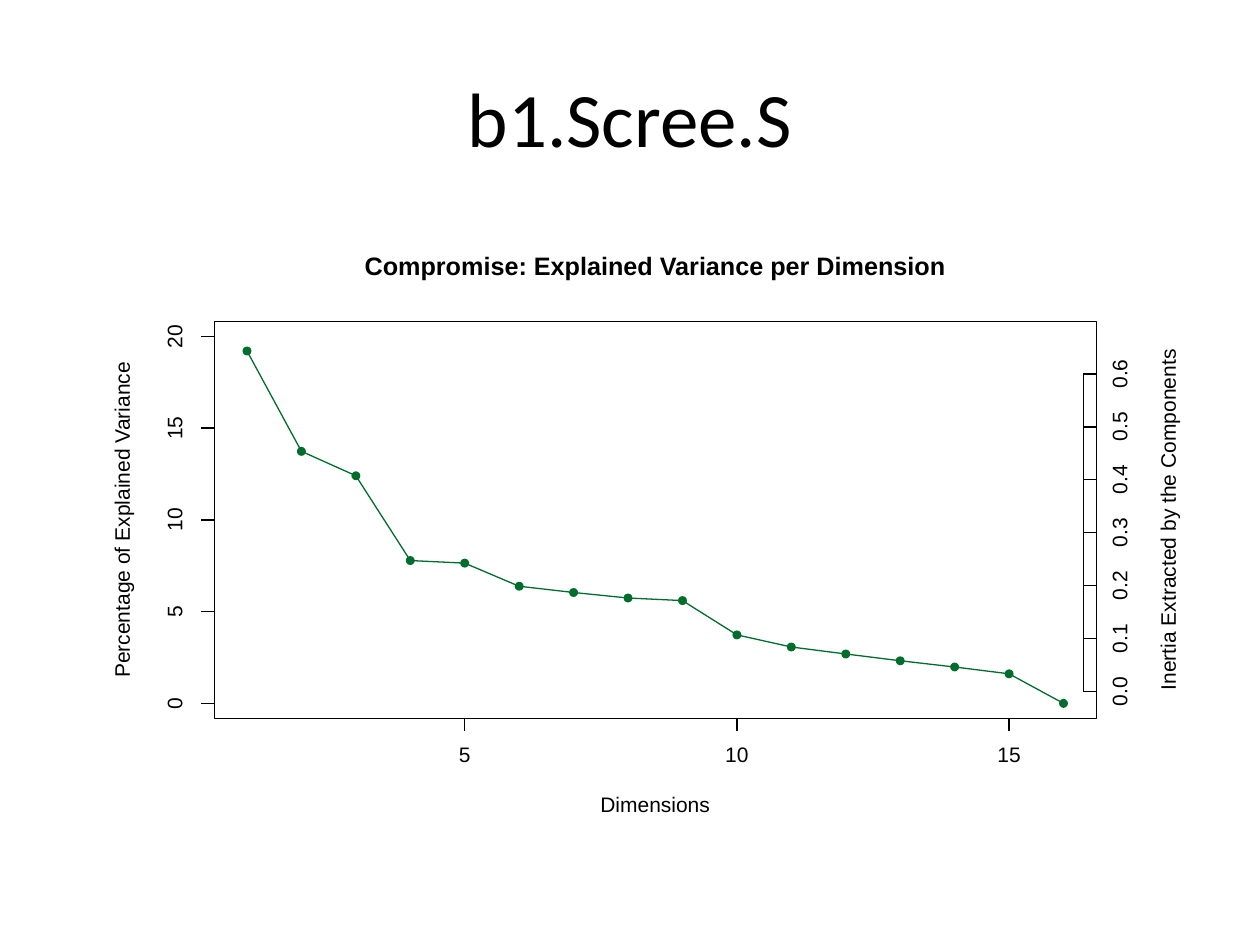
from lxml import etree
from pptx import Presentation
from pptx.dml.color import RGBColor
from pptx.enum.shapes import MSO_CONNECTOR, MSO_SHAPE
from pptx.enum.text import MSO_ANCHOR, PP_ALIGN
from pptx.oxml.ns import qn
from pptx.util import Cm, Pt

STRAIGHT = MSO_CONNECTOR.STRAIGHT
RECTANGLE = MSO_SHAPE.RECTANGLE
OVAL = MSO_SHAPE.OVAL
MIDDLE = MSO_ANCHOR.MIDDLE
CENTER = PP_ALIGN.CENTER

BLACK = RGBColor(0x00, 0x00, 0x00)
WHITE = RGBColor(0xFF, 0xFF, 0xFF)
GREEN = RGBColor(0x00, 0x6D, 0x2C)

LINE_WIDTH = Pt(0.75)
UPRIGHT_TURN = 270
TICK = 0.26
DOT = 0.18

# Plot frame, in centimetres
FRAME_LEFT, FRAME_TOP, FRAME_WIDTH, FRAME_HEIGHT = 4.32, 6.48, 17.78, 8.0
FRAME_RIGHT = FRAME_LEFT + FRAME_WIDTH
FRAME_BOTTOM = FRAME_TOP + FRAME_HEIGHT
FRAME_MIDDLE_X = FRAME_LEFT + FRAME_WIDTH / 2
FRAME_MIDDLE_Y = FRAME_TOP + FRAME_HEIGHT / 2

EXPLAINED_VARIANCE = [19.2, 13.73, 12.4, 7.78, 7.64, 6.38, 6.04, 5.74,
                      5.6, 3.73, 3.07, 2.69, 2.32, 1.98, 1.61, 0]


def dimension_x(dimension):
    """Return the horizontal place of a dimension in centimetres."""
    return 4.98 + 16.46 * (dimension - 1) / (len(EXPLAINED_VARIANCE) - 1)


def variance_y(percentage):
    """Return the vertical place of a percentage in centimetres."""
    return 14.18 - 0.37 * percentage


def inertia_y(inertia):
    """Return the vertical place of an inertia value in centimetres."""
    return 13.94 - 10.67 * inertia


def add_title(slide, wording):
    """Fill and place the title placeholder."""
    title = slide.shapes.title
    title.left, title.top = Cm(1.27), Cm(0.76)
    title.width, title.height = Cm(22.86), Cm(3.18)
    title.text_frame.text = wording
    title.text_frame.vertical_anchor = MIDDLE
    paragraph = title.text_frame.paragraphs[0]
    paragraph.alignment = CENTER
    paragraph.font.size = Pt(44)
    paragraph.font.name = "Calibri"
    paragraph.font.color.rgb = BLACK


def add_preset(plot, preset, left, top, width, height, fill=None, line=None):
    """Add a preset shape with an optional fill and outline."""
    shape = plot.shapes.add_shape(preset, Cm(left), Cm(top), Cm(width), Cm(height))
    shape.shadow.inherit = False
    if fill is None:
        shape.fill.background()
    else:
        shape.fill.solid()
        shape.fill.fore_color.rgb = fill
    if line is None:
        shape.line.fill.background()
    else:
        shape.line.color.rgb = line
        shape.line.width = LINE_WIDTH


def add_rule(plot, x1, y1, x2, y2):
    """Add a thin black straight line."""
    rule = plot.shapes.add_connector(STRAIGHT, Cm(x1), Cm(y1), Cm(x2), Cm(y2))
    rule.line.color.rgb = BLACK
    rule.line.width = LINE_WIDTH
    etree.SubElement(rule._element.spPr, qn("a:effectLst"))


def add_label(plot, wording, x, y, width, height=0.3, turn=0, size=12, bold=False):
    """Add one line of text centred on a point."""
    label = plot.shapes.add_textbox(Cm(x - width / 2), Cm(y - height / 2),
                                    Cm(width), Cm(height))
    label.rotation = turn
    frame = label.text_frame
    frame.margin_left = frame.margin_right = 0
    frame.margin_top = frame.margin_bottom = 0
    frame.word_wrap = False
    frame.vertical_anchor = MIDDLE
    frame.text = wording
    paragraph = frame.paragraphs[0]
    paragraph.alignment = CENTER
    paragraph.line_spacing = Pt(size)
    paragraph.font.size = Pt(size)
    paragraph.font.name = "Arial"
    paragraph.font.bold = bold
    paragraph.font.color.rgb = BLACK


def add_tick_label(plot, wording, x, y, turn=0):
    """Add an axis number in a box slightly wider than its digits."""
    width = 0.05 + 0.24 * len(wording) - 0.12 * wording.count(".")
    add_label(plot, wording, x, y, width, turn=turn)


def add_dimension_axis(plot):
    """Draw the bottom axis."""
    dimensions = (5, 10, 15)
    add_rule(plot, dimension_x(dimensions[0]), FRAME_BOTTOM,
             dimension_x(dimensions[-1]), FRAME_BOTTOM)
    for dimension in dimensions:
        x = dimension_x(dimension)
        add_rule(plot, x, FRAME_BOTTOM, x, FRAME_BOTTOM + TICK)
        add_tick_label(plot, str(dimension), x, 15.24)


def add_upright_axis(plot, place, values, axis_x, tick_x, label_x):
    """Draw a vertical axis with ticks and turned numbers."""
    add_rule(plot, axis_x, place(values[0]), axis_x, place(values[-1]))
    for value in values:
        y = place(value)
        add_rule(plot, axis_x, y, tick_x, y)
        add_tick_label(plot, str(value), label_x, y, UPRIGHT_TURN)


def add_variance_curve(plot, points):
    """Draw the line through all dimensions."""
    corners = [(Cm(x), Cm(y)) for x, y in points]
    builder = plot.shapes.build_freeform(*corners[0])
    builder.add_line_segments(corners[1:], close=False)
    curve = builder.convert_to_shape()
    curve.shadow.inherit = False
    curve.fill.background()
    curve.line.color.rgb = GREEN
    curve.line.width = LINE_WIDTH


def add_scree_plot(slide):
    """Draw the scree plot as one group."""
    plot = slide.shapes.add_group_shape()
    points = [(dimension_x(dimension), variance_y(percentage))
              for dimension, percentage in enumerate(EXPLAINED_VARIANCE, 1)]

    add_preset(plot, RECTANGLE, 1.27, 4.45, 22.86, 12.57, WHITE, WHITE)
    add_variance_curve(plot, points)
    add_dimension_axis(plot)
    add_upright_axis(plot, variance_y, range(0, 21, 5),
                     FRAME_LEFT, FRAME_LEFT - TICK, 3.55)
    add_preset(plot, RECTANGLE, FRAME_LEFT, FRAME_TOP, FRAME_WIDTH, FRAME_HEIGHT,
               line=BLACK)
    add_label(plot, "Compromise: Explained Variance per Dimension",
              FRAME_MIDDLE_X, 5.41, 12, 0.46, size=14.4, bold=True)
    add_label(plot, "Dimensions", FRAME_MIDDLE_X, 16.26, 2.4)
    add_label(plot, "Percentage of Explained Variance",
              2.49, FRAME_MIDDLE_Y, 6.6, 0.4, UPRIGHT_TURN)
    for x, y in points:
        add_preset(plot, OVAL, x - DOT / 2, y - DOT / 2, DOT, DOT, GREEN)
    add_label(plot, "Inertia Extracted by the Components",
              23.58, FRAME_MIDDLE_Y, 7.1, 0.4, UPRIGHT_TURN)
    add_upright_axis(plot, inertia_y, [tenth / 10 for tenth in range(7)],
                     FRAME_RIGHT - TICK, FRAME_RIGHT, 22.6)


def main():
    """Build the slide and save it."""
    deck = Presentation()
    deck.slide_width, deck.slide_height = Cm(25.4), Cm(19.05)
    slide = deck.slides.add_slide(deck.slide_layouts[5])
    add_title(slide, "b1.Scree.S")
    add_scree_plot(slide)
    deck.save("out.pptx")


main()
